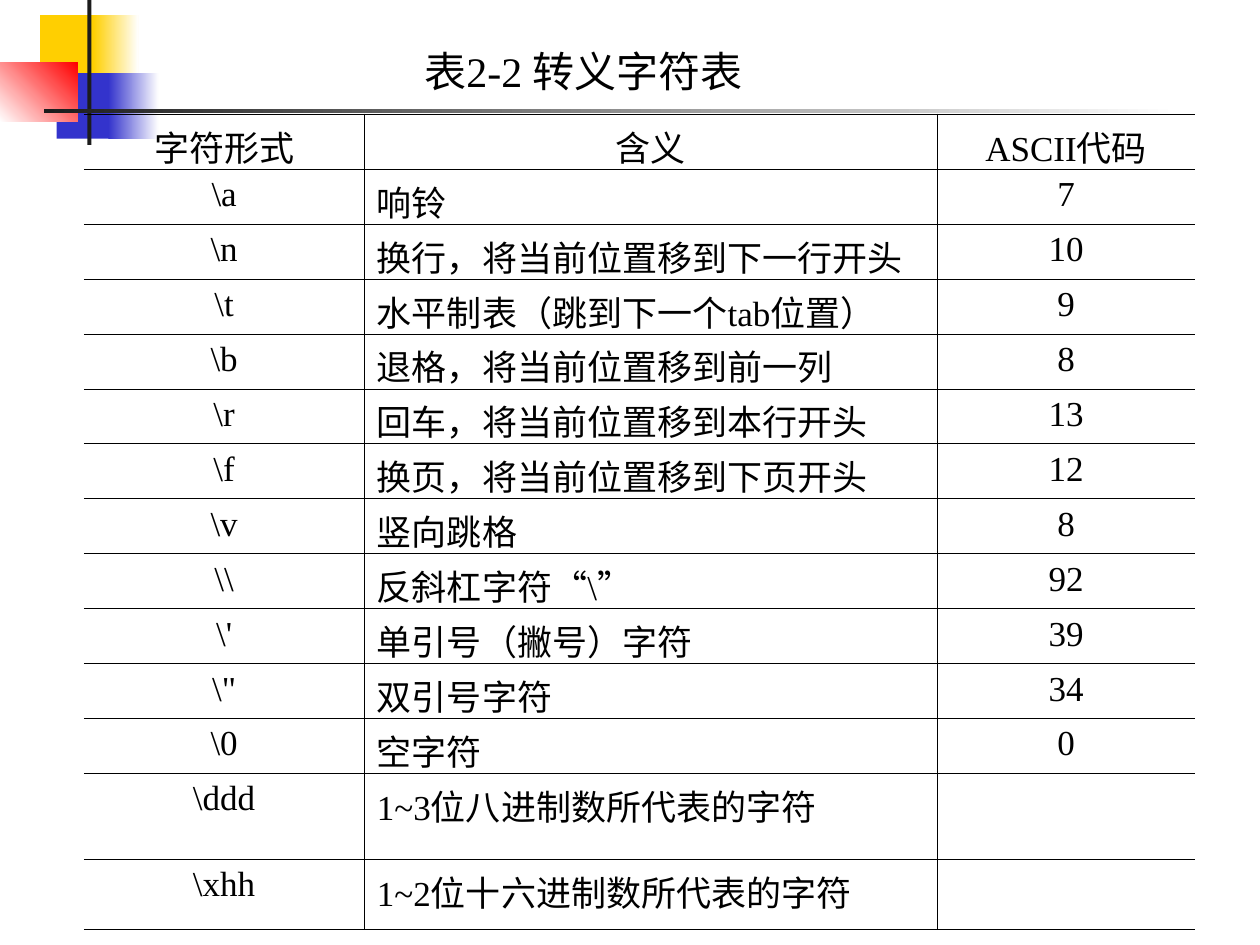
"""Build the slide with the table of escape characters."""
from pptx import Presentation
from pptx.dml.color import RGBColor
from pptx.enum.shapes import MSO_SHAPE as Shape
from pptx.enum.text import MSO_ANCHOR as Anchor, MSO_AUTO_SIZE as AutoSize, PP_ALIGN as Align
from pptx.oxml.ns import qn
from pptx.util import Pt
from lxml.etree import SubElement

COLORS = {"yellow": "FFCF01", "blue": "3333CC", "red": "FF0000",
          "dark": "1C1C1C", "white": "FFFFFF", "black": "000000"}
THIN, THICK = 0.45, 0.96


def style_text(paragraph, size):
    for run in paragraph.runs:
        run.font.size = Pt(size)
        run.font.name = "Times New Roman"
        run.font.color.rgb = RGBColor.from_string(COLORS["black"])


def set_border(cell, side, width):
    line = SubElement(cell._tc.get_or_add_tcPr(), qn(f"a:ln{side}"), w=str(int(Pt(width))))
    if width:
        fill = SubElement(line, qn("a:solidFill"))
        SubElement(fill, qn("a:srgbClr"), val=COLORS["black"])
    else:
        SubElement(line, qn("a:noFill"))


prs = Presentation()
prs.slide_width, prs.slide_height = Pt(720), Pt(540)
slide = prs.slides.add_slide(prs.slide_layouts[6])

ornaments = [
    (23, 8.6, 34.6, 37.4, ["yellow"], 0),
    (53.3, 8.6, 25.9, 37.4, ["yellow", "white"], 0),
    (32.4, 41.8, 33.1, 37.4, ["blue"], 0),
    (61.9, 41.8, 28.8, 37.4, ["blue", "white"], 0),
    (0, 36, 44.4, 33.5, ["white", "red"], 45),
    (49.9, 0, 2.4, 82.8, ["dark"], 0),
    (25.2, 62.1, 648, 2.3, ["dark", "white"], 0),
]
for left, top, width, height, hues, angle in ornaments:
    ornament = slide.shapes.add_shape(Shape.RECTANGLE, Pt(left), Pt(top), Pt(width), Pt(height))
    ornament.shadow.inherit = False
    ornament.line.fill.background()
    if len(hues) == 1:
        ornament.fill.solid()
        ornament.fill.fore_color.rgb = RGBColor.from_string(COLORS[hues[0]])
    else:
        ornament.fill.gradient()
        ornament.fill.gradient_angle = angle
        for stop, hue in zip(ornament.fill.gradient_stops, hues):
            stop.color.rgb = RGBColor.from_string(COLORS[hue])

caption = slide.shapes.add_textbox(Pt(235.4), Pt(22.3), Pt(226.8), Pt(36)).text_frame
caption.word_wrap = True
caption.auto_size = AutoSize.SHAPE_TO_FIT_TEXT
caption.vertical_anchor = Anchor.MIDDLE
caption.text = "表2-2 转义字符表"
style_text(caption.paragraphs[0], 24)

escapes = [
    ("字符形式", "含义", "ASCII代码"),
    (r"\a", "响铃", "7"),
    (r"\n", "换行，将当前位置移到下一行开头", "10"),
    (r"\t", "水平制表（跳到下一个tab位置）", "9"),
    (r"\b", "退格，将当前位置移到前一列", "8"),
    (r"\r", "回车，将当前位置移到本行开头", "13"),
    (r"\f", "换页，将当前位置移到下页开头", "12"),
    (r"\v", "竖向跳格", "8"),
    (r"\\", r"反斜杠字符“\”", "92"),
    (r"\'", "单引号（撇号）字符", "39"),
    (r'\"', "双引号字符", "34"),
    (r"\0", "空字符", "0"),
    (r"\ddd", "1~3位八进制数所代表的字符", ""),
    (r"\xhh", "1~2位十六进制数所代表的字符", ""),
]
column_widths = [160.2, 327.4, 147.4]
row_heights = [31.4] * 12 + [49.2, 40]
last_row, last_col = len(escapes) - 1, len(column_widths) - 1

table = slide.shapes.add_table(len(escapes), len(column_widths), Pt(48), Pt(65.3),
                               Pt(sum(column_widths)), Pt(sum(row_heights))).table
table.first_row = table.horz_banding = False
for column, width in zip(table.columns, column_widths):
    column.width = Pt(width)

for r, (entry, height) in enumerate(zip(escapes, row_heights)):
    table.rows[r].height = Pt(height)
    for c, content in enumerate(entry):
        cell = table.cell(r, c)
        set_border(cell, "L", THIN if c > 0 else 0)
        set_border(cell, "R", THIN if c < last_col else 0)
        set_border(cell, "T", THICK if r == 0 else THIN)
        set_border(cell, "B", THICK if r == last_row else THIN)
        cell.fill.background()
        cell.text_frame.text = content
        paragraph = cell.text_frame.paragraphs[0]
        paragraph.alignment = Align.LEFT if c == 1 and r > 0 else Align.CENTER
        style_text(paragraph, 20)

prs.save("out.pptx")
